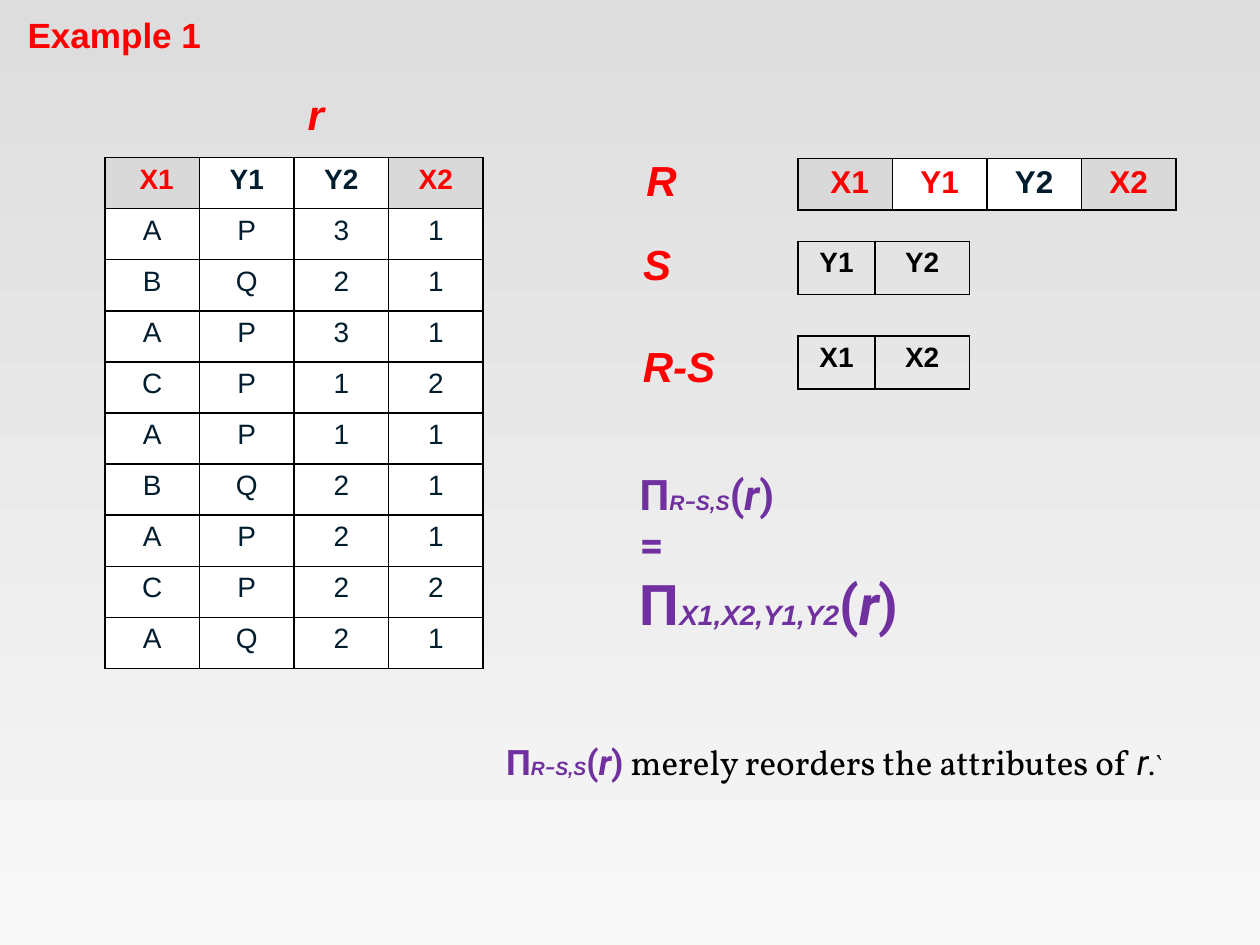
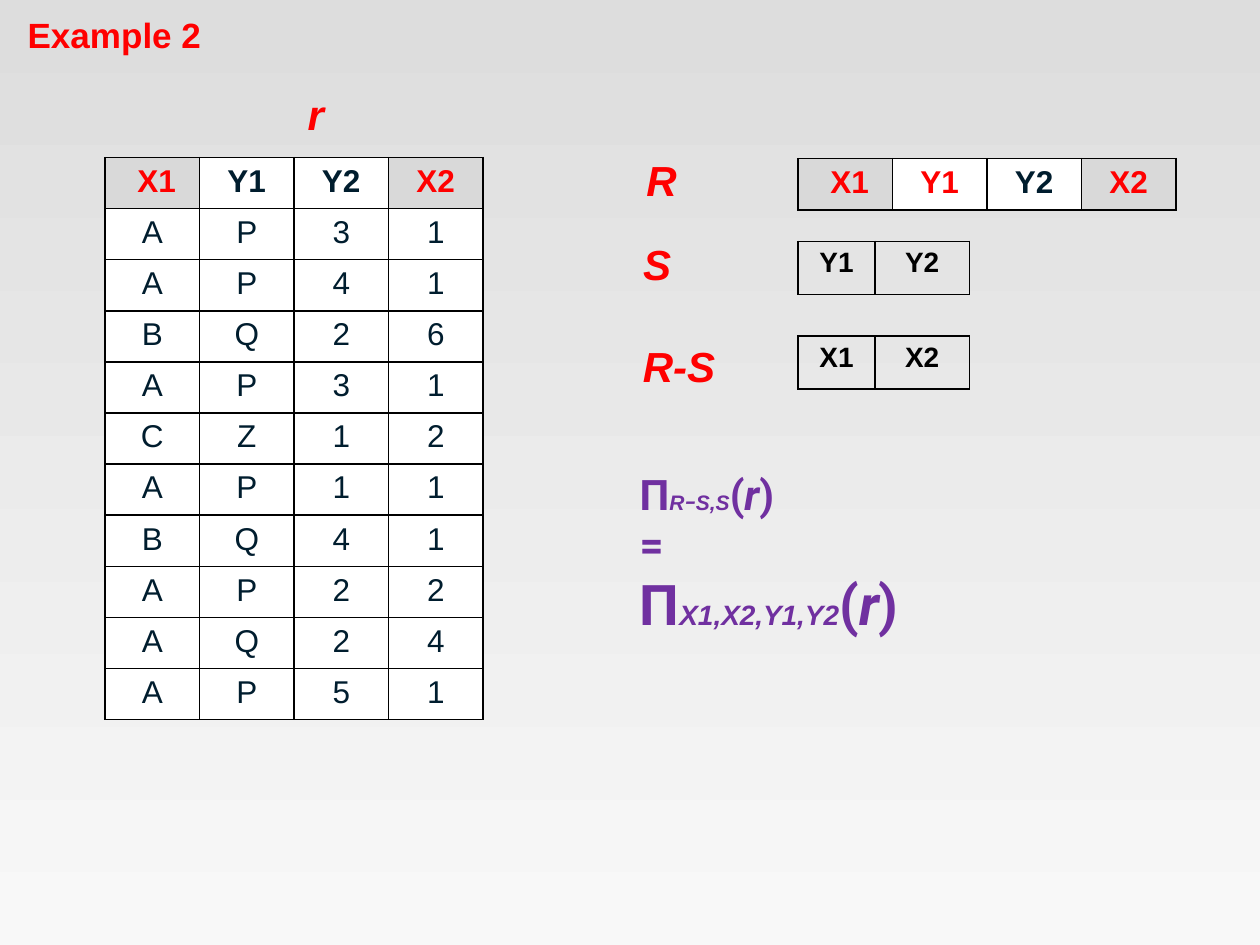
"""Build two worked examples of reordering the attributes of a relation."""
from dataclasses import dataclass

from lxml import etree
from pptx import Presentation
from pptx.dml.color import RGBColor
from pptx.enum import text
from pptx.oxml import ns
from pptx.util import Pt


@dataclass(frozen=True)
class Theme:
    red: str = "FF0000"
    purple: str = "7030A0"
    navy: str = "001D2E"
    black: str = "000000"
    white: str = "FFFFFF"
    grey: str = "D9D9D9"
    sky: tuple = ("DDDDDD", "F8F8F8")
    sans: str = "Arial"
    math: str = "Roboto"
    serif: str = "Vollkorn"
    title: int = 20
    label: int = 24
    large: int = 32
    heading: int = 18
    cell: int = 16
    subscript: int = 12
    note_subscript: int = 11


THEME = Theme()
SPLIT = [("R", THEME.sans), ("−", THEME.math), ("S,S", THEME.sans)]
COLUMNS = ["X1", "Y1", "Y2", "X2"]
EXAMPLES = [
    ("Example 1", THEME.cell,
     ["AP31", "BQ21", "AP31", "CP12", "AP11", "BQ21", "AP21", "CP22", "AQ21"]),
    ("Example 2", THEME.heading,
     ["AP31", "AP41", "BQ26", "AP31", "CZ12", "AP11", "BQ41", "AP22", "AQ24", "AP51"]),
]


class Builder:
    def __init__(self, theme):
        self.theme = theme
        self.deck = Presentation()
        self.deck.slide_width, self.deck.slide_height = Pt(720), Pt(540)
        self.page = None
        fill = self.deck.slide_master.background.fill
        fill.gradient()
        fill.gradient_angle = 270
        for stop, color, position in zip(fill.gradient_stops, theme.sky, (0, 1)):
            stop.color.rgb = RGBColor.from_string(color)
            stop.position = position

    def style(self, span, size, color, font=None, bold=True, italic=False):
        span.font.name = font or self.theme.sans
        span.font.size = Pt(size)
        span.font.color.rgb = RGBColor.from_string(color)
        span.font.bold = bold
        span.font.italic = italic

    def add_page(self, title):
        self.page = self.deck.slides.add_slide(self.deck.slide_layouts[5])
        box = self.page.shapes.title
        box.left, box.top, box.width, box.height = Pt(8.6), Pt(4.3), Pt(115), Pt(31.5)
        frame = box.text_frame
        frame.text = title
        frame.word_wrap = False
        frame.auto_size = text.MSO_AUTO_SIZE.NONE
        frame.vertical_anchor = text.MSO_ANCHOR.TOP
        frame.paragraphs[0].alignment = text.PP_ALIGN.LEFT
        self.style(frame.paragraphs[0].runs[0], self.theme.title, self.theme.red)

    def add_box(self, left, top, width, height):
        frame = self.page.shapes.add_textbox(Pt(left), Pt(top), Pt(width), Pt(height)).text_frame
        frame.word_wrap = False
        frame.auto_size = text.MSO_AUTO_SIZE.SHAPE_TO_FIT_TEXT
        return frame

    def add_label(self, name, left, top, width):
        frame = self.add_box(left, top, width, 36.5)
        frame.text = name
        frame.vertical_anchor = text.MSO_ANCHOR.MIDDLE
        frame.paragraphs[0].alignment = text.PP_ALIGN.CENTER
        self.style(frame.paragraphs[0].runs[0], self.theme.label, self.theme.red, italic=True)

    def add_span(self, para, words, size, color, **look):
        span = para.add_run()
        span.text = words
        self.style(span, size, color, **look)

    def add_projection(self, para, attributes, size, subscript):
        color, font = self.theme.purple, self.theme.math
        self.add_span(para, "Π", size, color, font=font)
        for words, face in attributes:
            self.add_span(para, words, subscript, color, font=face, italic=True)
        for words in "(r)":
            self.add_span(para, words, size, color, font=font, italic=words == "r")

    def add_equation(self):
        theme = self.theme
        frame = self.add_box(358.5, 264.2, 171.5, 104.5)
        self.add_projection(frame.paragraphs[0], SPLIT, theme.label, theme.subscript)
        self.add_span(frame.add_paragraph(), "=", theme.label, theme.purple, font=theme.math)
        self.add_projection(frame.add_paragraph(), [("X1,X2,Y1,Y2", theme.sans)],
                            theme.large, theme.cell)

    def add_note(self):
        theme = self.theme
        para = self.add_box(282.2, 419.8, 396, 31.5).paragraphs[0]
        self.add_projection(para, SPLIT, theme.title, theme.note_subscript)
        for words, size, font in [(" merely reorders the attributes of ", theme.title, theme.serif),
                                  ("r", theme.title, theme.math),
                                  (".`", theme.cell, theme.serif)]:
            self.add_span(para, words, size, theme.black, font=font, bold=False,
                          italic=words == "r")

    def add_borders(self, cell):
        properties = cell._tc.get_or_add_tcPr()
        for side in ("lnL", "lnR", "lnT", "lnB"):
            line = etree.SubElement(properties, ns.qn(f"a:{side}"), w=str(Pt(1)))
            solid = etree.SubElement(line, ns.qn("a:solidFill"))
            etree.SubElement(solid, ns.qn("a:srgbClr"), val=self.theme.black)

    def add_table(self, rows, left, top, widths, height, size, colors, fills, indent=0):
        table = self.page.shapes.add_table(
            len(rows), len(widths), Pt(left), Pt(top),
            Pt(sum(widths)), Pt(height * len(rows))).table
        table.first_row = table.horz_banding = False
        for column, width in zip(table.columns, widths):
            column.width = Pt(width)
        for y, values in enumerate(rows):
            table.rows[y].height = Pt(height)
            for x, value in enumerate(values):
                cell = table.cell(y, x)
                self.add_borders(cell)
                heading = y == 0
                if fills:
                    cell.fill.solid()
                    color = fills[x] if heading else self.theme.white
                    cell.fill.fore_color.rgb = RGBColor.from_string(color)
                else:
                    cell.fill.background()
                if heading and x == 0:
                    cell.margin_left = Pt(7.2 + indent)
                para = cell.text_frame.paragraphs[0]
                para.text = value
                para.alignment = text.PP_ALIGN.CENTER
                self.style(para.runs[0], size, colors[x] if heading else self.theme.navy,
                           bold=heading)

    def add_relation(self, rows, left, top, size, colors):
        fills = [self.theme.grey, self.theme.white, self.theme.white, self.theme.grey]
        self.add_table([COLUMNS, *rows], left, top, [54] * 4, 29.2, size, colors, fills, indent=5)

    def add_schema(self, names, top):
        self.add_table([names], 456, top, [44, 54], 30.2, self.theme.cell,
                       [self.theme.black] * 2, None)


def main():
    builder = Builder(THEME)
    red, navy = THEME.red, THEME.navy
    for title, size, rows in EXAMPLES:
        builder.add_page(title)
        builder.add_relation(rows, 60, 90, size, [red, navy, navy, red])
        builder.add_relation([], 456, 90.7, THEME.heading, [red, red, navy, red])
        builder.add_schema(["Y1", "Y2"], 138)
        builder.add_schema(["X1", "X2"], 192)
        for label in [("r", 168.5, 47, 24), ("R", 362.2, 84.5, 31.5),
                      ("S", 360, 132.5, 31), ("R-S", 360, 191, 56)]:
            builder.add_label(*label)
        builder.add_equation()
        if title == "Example 1":
            builder.add_note()
    builder.deck.save("out.pptx")


if __name__ == "__main__":
    main()
